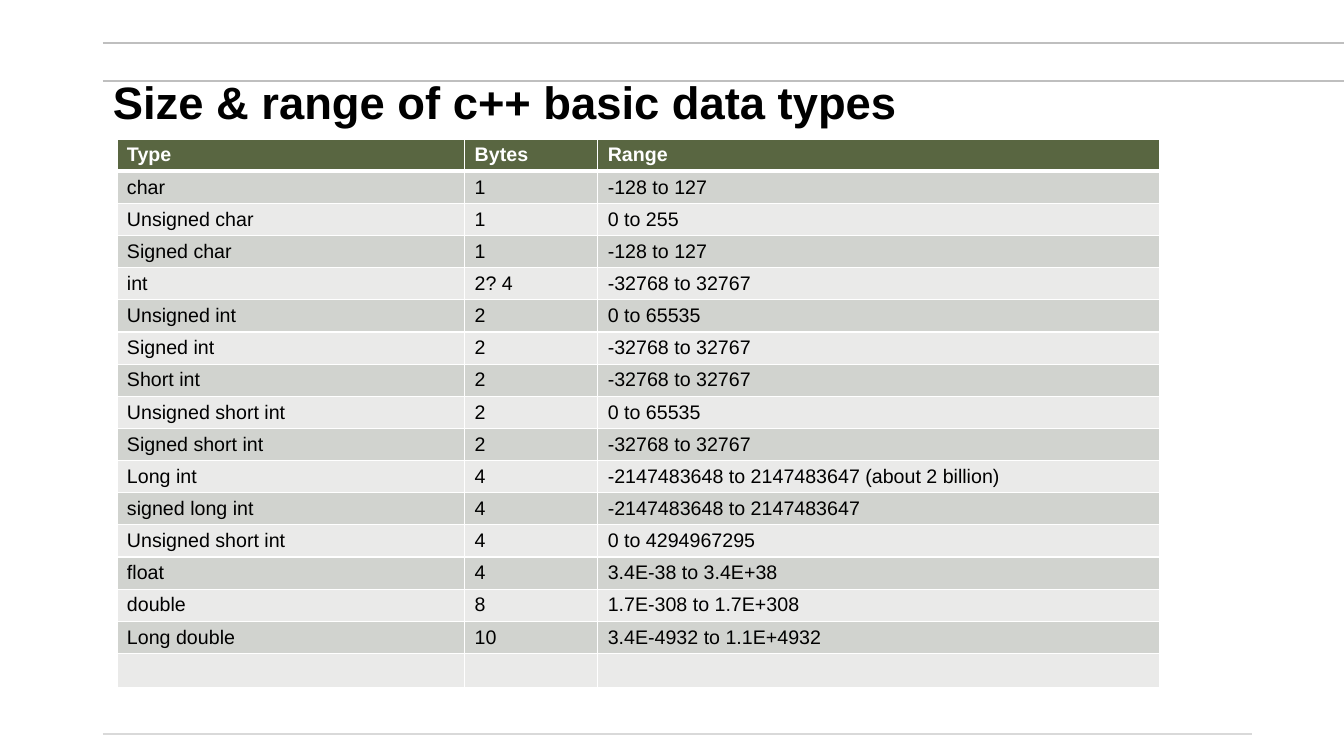
from dataclasses import dataclass

from lxml import etree
from pptx import Presentation
from pptx import util as u
from pptx.dml import color
from pptx.enum import shapes, text
from pptx.oxml import ns

FONT = "Arial"
HEADER_FILL = "596641"
BAND_FILLS = ("D1D3CF", "EAEAE9")
COLUMN_WIDTHS = (248.4, 95.04, 401.04)
ROW_HEIGHT = 22.95


@dataclass(frozen=True)
class Rule:
    left: float
    right: float
    y: float
    colour: str


@dataclass(frozen=True)
class DataType:
    name: str
    size: str
    values: str


RULES = (
    Rule(73.44, 960, 57.6, "BFBFBF"),
    Rule(73.44, 960, 30.5, "BFBFBF"),
    Rule(73.44, 894.24, 524.16, "D9D9D9"),
)

ROWS = (
    DataType("Type", "Bytes", "Range"),
    DataType("char", "1", "-128 to 127"),
    DataType("Unsigned char", "1", "0 to 255"),
    DataType("Signed char", "1", "-128 to 127"),
    DataType("int", "2? 4", "-32768 to 32767"),
    DataType("Unsigned int", "2", "0 to 65535"),
    DataType("Signed int", "2", "-32768 to 32767"),
    DataType("Short int", "2", "-32768 to 32767"),
    DataType("Unsigned short int", "2", "0 to 65535"),
    DataType("Signed short int", "2", "-32768 to 32767"),
    DataType("Long int", "4", "-2147483648 to 2147483647 (about 2 billion)"),
    DataType("signed long int", "4", "-2147483648 to 2147483647"),
    DataType("Unsigned short int", "4", "0 to 4294967295"),
    DataType("float", "4", "3.4E-38 to 3.4E+38"),
    DataType("double", "8", "1.7E-308 to 1.7E+308"),
    DataType("Long double", "10", "3.4E-4932 to 1.1E+4932"),
    DataType("", "", ""),
)


def rgb(value: str) -> color.RGBColor:
    return color.RGBColor.from_string(value)


def add_run(paragraph, words: str, size: float, colour: str, bold: bool) -> None:
    run = paragraph.add_run()
    run.text = words
    run.font.name = FONT
    run.font.size = u.Pt(size)
    run.font.bold = bold
    run.font.color.rgb = rgb(colour)


def draw_rule(slide, rule: Rule) -> None:
    line = slide.shapes.add_connector(
        shapes.MSO_CONNECTOR.STRAIGHT,
        u.Pt(rule.left), u.Pt(rule.y), u.Pt(rule.right), u.Pt(rule.y),
    )
    line.line.color.rgb = rgb(rule.colour)
    line.line.width = u.Pt(1.5)
    etree.SubElement(line._element.spPr, ns.qn("a:effectLst"))


def draw_title(slide, words: str) -> None:
    title = slide.shapes.title
    title.left, title.top = u.Pt(73.44), u.Pt(60.48)
    title.width, title.height = u.Pt(820.08), u.Pt(28.08)
    frame = title.text_frame
    frame.word_wrap = True
    frame.auto_size = text.MSO_AUTO_SIZE.NONE
    frame.vertical_anchor = text.MSO_ANCHOR.MIDDLE
    paragraph = frame.paragraphs[0]
    paragraph.alignment = text.PP_ALIGN.LEFT
    paragraph.line_spacing = 0.9
    add_run(paragraph, words, 32.4, "000000", True)


def set_borders(cell, top: float, bottom: float) -> None:
    properties = cell._tc.get_or_add_tcPr()
    widths = {"lnL": 1, "lnR": 1, "lnT": top, "lnB": bottom}
    for position, (side, width) in enumerate(widths.items()):
        border = etree.Element(ns.qn(f"a:{side}"), w=str(u.Pt(width)))
        fill = etree.SubElement(border, ns.qn("a:solidFill"))
        etree.SubElement(fill, ns.qn("a:srgbClr"), val="FFFFFF")
        properties.insert(position, border)


def fill_cell(cell, words: str, row: int) -> None:
    header = row == 0
    cell.fill.solid()
    cell.fill.fore_color.rgb = rgb(HEADER_FILL if header else BAND_FILLS[(row - 1) % 2])
    set_borders(cell, top=3 if row == 1 else 1, bottom=3 if header else 1)
    paragraph = cell.text_frame.paragraphs[0]
    if words:
        add_run(paragraph, words, 14, "FFFFFF" if header else "000000", header)
    else:
        etree.SubElement(paragraph._p, ns.qn("a:endParaRPr"), sz="1400")


def draw_table(slide) -> None:
    types_table = slide.shapes.add_table(
        len(ROWS), len(COLUMN_WIDTHS), u.Pt(83.52), u.Pt(99.36),
        u.Pt(sum(COLUMN_WIDTHS)), u.Pt(ROW_HEIGHT * len(ROWS)),
    ).table
    types_table.horz_banding = False
    for column, width in zip(types_table.columns, COLUMN_WIDTHS):
        column.width = u.Pt(width)
    for row, data_type in enumerate(ROWS):
        types_table.rows[row].height = u.Pt(ROW_HEIGHT)
        for column, words in enumerate((data_type.name, data_type.size, data_type.values)):
            fill_cell(types_table.cell(row, column), words, row)


def main() -> None:
    deck = Presentation()
    deck.slide_width, deck.slide_height = u.Pt(960), u.Pt(540)
    slide = deck.slides.add_slide(deck.slide_layouts[5])
    for rule in RULES:
        draw_rule(slide, rule)
    draw_title(slide, "Size & range of c++ basic data types")
    draw_table(slide)
    deck.save("out.pptx")


if __name__ == "__main__":
    main()
